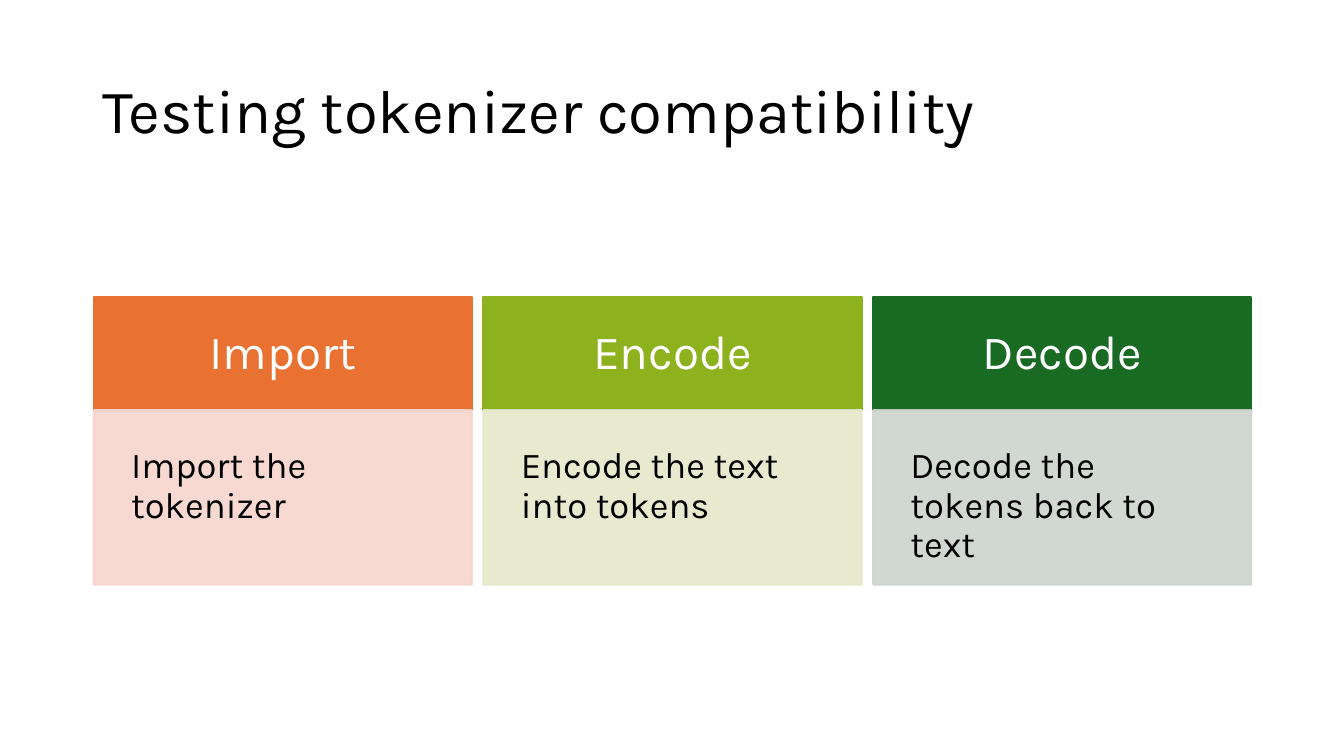
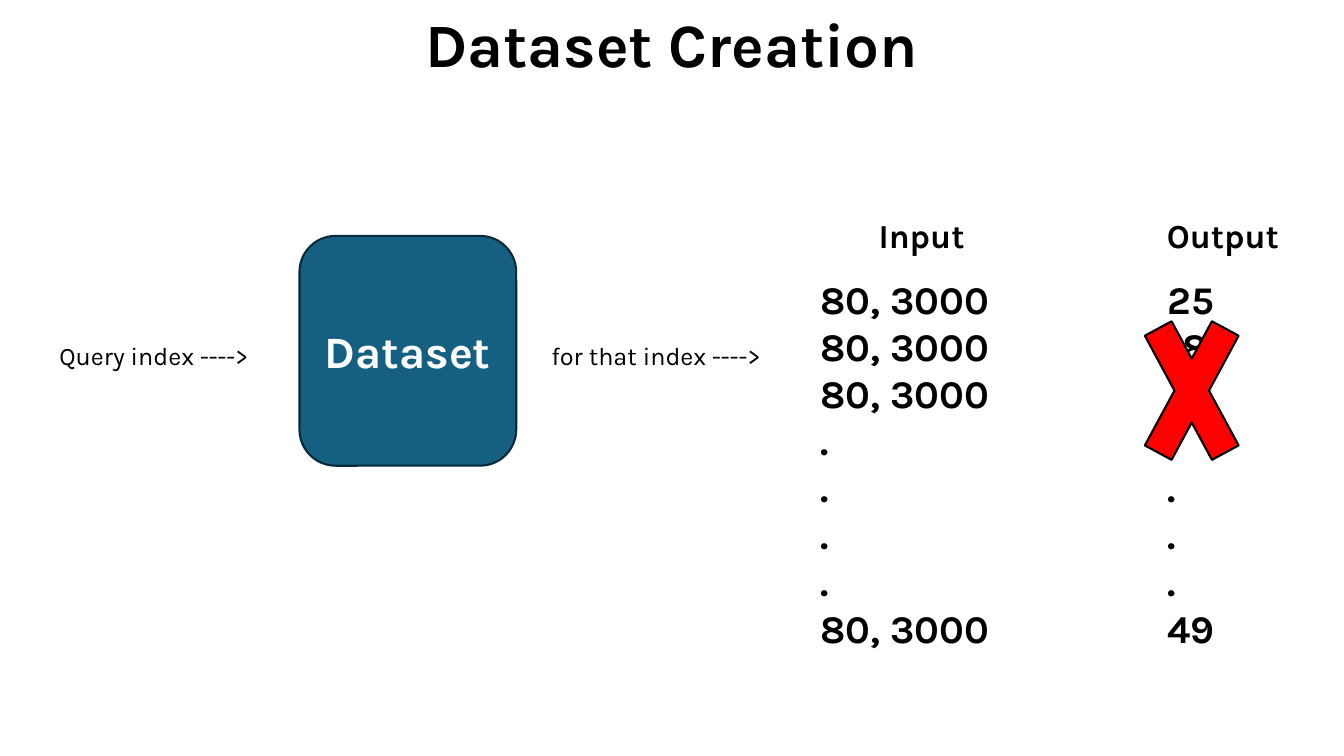
from lxml.etree import SubElement
from pptx import Presentation
from pptx.dml.color import RGBColor
from pptx.enum.shapes import MSO_SHAPE
from pptx.enum.text import MSO_ANCHOR, PP_ALIGN
from pptx.oxml.ns import qn
from pptx.util import Inches, Pt

FONT = "Karla"
BLACK, WHITE = "000000", "FFFFFF"
TITLE_SIZE = 44
TITLE_SPACING = 0.9


def add_box(slide, left, top, width, height, preset=None, fill=None, line=None, opacity=100):
    area = [Inches(length) for length in (left, top, width, height)]
    if preset is None:
        return slide.shapes.add_textbox(*area)
    shape = slide.shapes.add_shape(preset, *area)
    shape.shadow.inherit = False
    shape.fill.solid()
    shape.fill.fore_color.rgb = RGBColor.from_string(fill)
    shape.line.color.rgb = RGBColor.from_string(line)
    shape.line.width = Pt(1.5)
    if opacity < 100:
        for color in shape.element.spPr.iter(qn("a:srgbClr")):
            SubElement(color, qn("a:alpha"), val=str(opacity * 1000))
    return shape


def write(shape, lines, size, color=BLACK, bold=False, align=PP_ALIGN.LEFT,
          anchor=MSO_ANCHOR.TOP, spacing=1.0, inset=None):
    frame = shape.text_frame
    frame.word_wrap = True
    frame.vertical_anchor = anchor
    if inset is not None:
        frame.margin_left = frame.margin_right = Inches(inset)
        frame.margin_top = frame.margin_bottom = Inches(inset)
    frame.text = "\n".join(lines)
    for paragraph in frame.paragraphs:
        paragraph.alignment = align
        paragraph.line_spacing = spacing
        paragraph.font.name = FONT
        paragraph.font.size = Pt(size)
        paragraph.font.bold = bold
        paragraph.font.color.rgb = RGBColor.from_string(color)
    return frame.paragraphs


presentation = Presentation()
slide_width, slide_height = 13.33, 7.5
presentation.slide_width = Inches(slide_width)
presentation.slide_height = Inches(slide_height)
blank_layout = presentation.slide_layouts[6]

slide = presentation.slides.add_slide(blank_layout)
title = add_box(slide, 0.92, 0.4, 11.5, 1.45)
write(title, ["Testing tokenizer compatibility"], TITLE_SIZE,
      anchor=MSO_ANCHOR.MIDDLE, spacing=TITLE_SPACING)

steps = [
    ("Import", "Import the tokenizer", "E97132", "F7D5CE"),
    ("Encode", "Encode the text into tokens", "8EB21E", "E5E8CA"),
    ("Decode", "Decode the tokens back to text", "196B24", "CCD4CD"),
]
grid_left, grid_top, grid_width = 0.93, 2.95, 11.48
column_width = 3.75
column_step = (grid_width - column_width) / (len(steps) - 1)
header_height, body_height = 1.12, 1.73
for column, (heading, description, strong, pale) in enumerate(steps):
    left = grid_left + column * column_step
    header = add_box(slide, left, grid_top, column_width, header_height,
                     MSO_SHAPE.RECTANGLE, strong, strong)
    write(header, [heading], 34, WHITE, align=PP_ALIGN.CENTER,
          anchor=MSO_ANCHOR.MIDDLE, spacing=0.9, inset=0.3)
    body = add_box(slide, left, grid_top + header_height, column_width, body_height,
                   MSO_SHAPE.RECTANGLE, pale, pale, opacity=90)
    write(body, [description], 26, spacing=0.9, inset=0.37)

slide = presentation.slides.add_slide(blank_layout)
title = add_box(slide, 0, 0, slide_width, 0.95)
write(title, ["Dataset Creation"], TITLE_SIZE, bold=True, align=PP_ALIGN.CENTER,
      anchor=MSO_ANCHOR.MIDDLE, spacing=TITLE_SPACING)

dataset = add_box(slide, 2.97, 2.34, 2.15, 2.28, MSO_SHAPE.ROUNDED_RECTANGLE, "156082", "092A39")
write(dataset, ["Dataset"], 32, WHITE, bold=True, align=PP_ALIGN.CENTER, anchor=MSO_ANCHOR.MIDDLE)

for left, label in [(0.49, "Query index ---->"), (5.37, "for that index ---->")]:
    write(add_box(slide, left, 3.33, 2.28, 0.4), [label], 18)

heading_width = 2.4
for heading, center in [("Input", 9.14), ("Output", 12.13)]:
    heading_box = add_box(slide, center - heading_width / 2, 2.08, heading_width, 0.5)
    write(heading_box, [heading], 24, bold=True, align=PP_ALIGN.CENTER)

values_top, values_height, value_size = 2.68, 3.87, 28
row_height = 33.6
inputs = add_box(slide, 8.04, values_top, 2.59, values_height)
write(inputs, ["80, 3000"] * 3 + ["."] * 4 + ["80, 3000"], value_size, bold=True)
outputs = add_box(slide, 11.48, values_top, 1.3, values_height)
first, second, third, *rest = write(outputs, ["25", "8"] + ["."] * 3 + ["49"], value_size, bold=True)
second._p.get_or_add_pPr().set("marL", str(Inches(0.15)))
third.space_before = Pt(2 * row_height)

add_box(slide, 11.18, 2.69, 1.28, 2.37, MSO_SHAPE.MATH_MULTIPLY, "FF0000", BLACK)

presentation.save("out.pptx")
